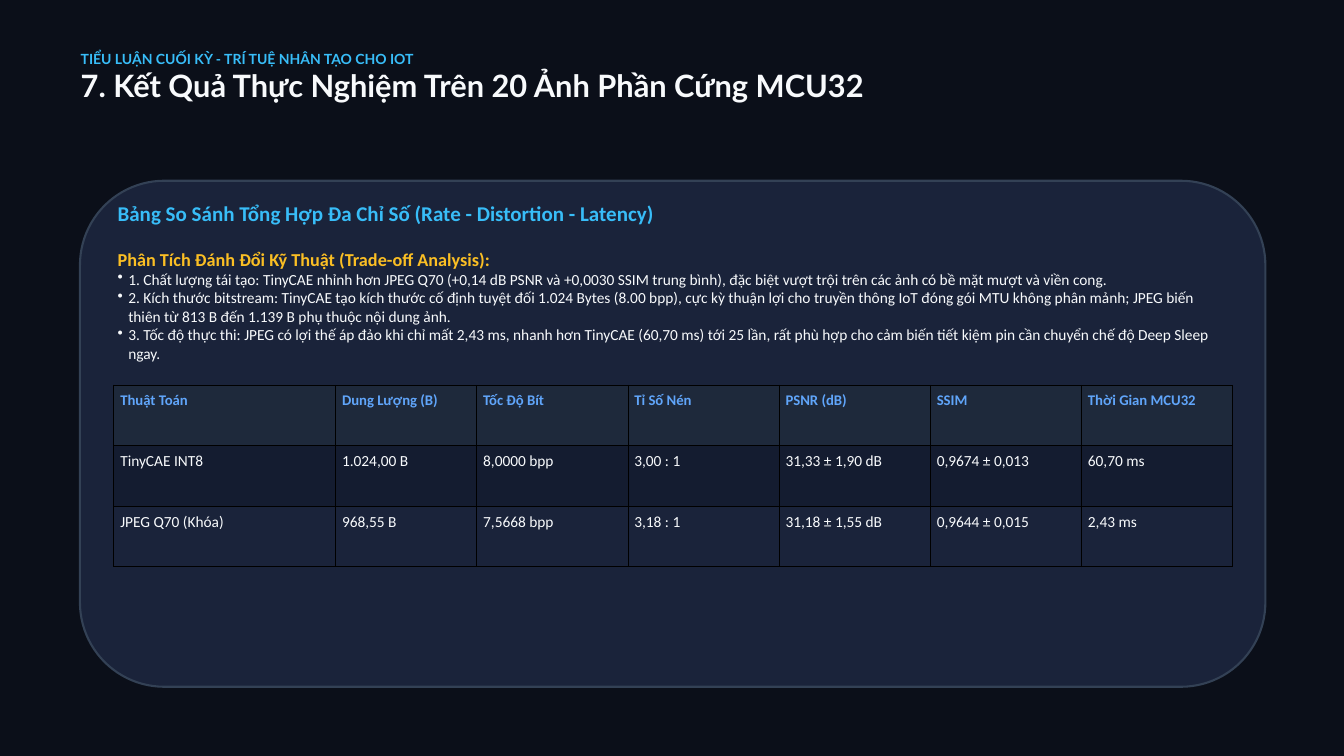
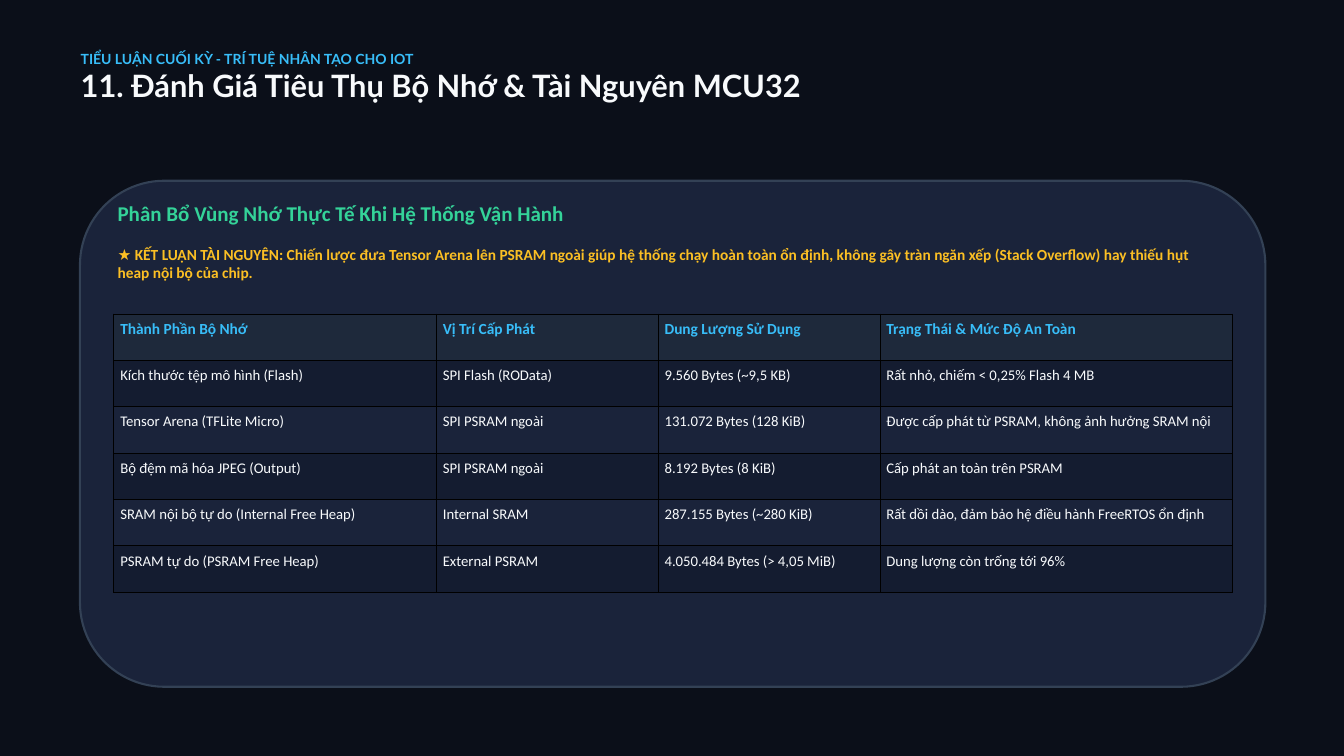
from lxml import etree
from pptx import Presentation
from pptx.dml.color import RGBColor
from pptx.enum import shapes
from pptx.oxml import ns
from pptx.util import Inches, Pt

NIGHT, PANEL, PANEL_EDGE = "0B0F19", "1A233A", "334155"
HEADER_ROW, DARK_ROW, GRID = "1E293B", "141C30", "000000"
SKY, BLUE, GREEN, AMBER, WHITE = "38BDF8", "60A5FA", "34D399", "FBBF24", "F8FAFC"
HEADING_FONT, BODY_FONT = "Lato", "Calibri"
COURSE = "TIỂU LUẬN CUỐI KỲ - TRÍ TUỆ NHÂN TẠO CHO IOT"
LINE_HEIGHT = 1.2
BULLET_INDENT = Inches(0.16)
CELL_MARGIN = Inches(0.1)

TRADE_OFFS = [
    "1. Chất lượng tái tạo: TinyCAE nhỉnh hơn JPEG Q70 (+0,14 dB PSNR và +0,0030 SSIM trung bình), "
    "đặc biệt vượt trội trên các ảnh có bề mặt mượt và viền cong.",
    "2. Kích thước bitstream: TinyCAE tạo kích thước cố định tuyệt đối 1.024 Bytes (8.00 bpp), "
    "cực kỳ thuận lợi cho truyền thông IoT đóng gói MTU không phân mảnh; "
    "JPEG biến thiên từ 813 B đến 1.139 B phụ thuộc nội dung ảnh.",
    "3. Tốc độ thực thi: JPEG có lợi thế áp đảo khi chỉ mất 2,43 ms, nhanh hơn TinyCAE (60,70 ms) "
    "tới 25 lần, rất phù hợp cho cảm biến tiết kiệm pin cần chuyển chế độ Deep Sleep ngay.",
]
CONCLUSION = (
    "★ KẾT LUẬN TÀI NGUYÊN: Chiến lược đưa Tensor Arena lên PSRAM ngoài giúp hệ thống chạy "
    "hoàn toàn ổn định, không gây tràn ngăn xếp (Stack Overflow) hay thiếu hụt heap nội bộ của chip."
)
CODEC_ROWS = [
    ["Thuật Toán", "Dung Lượng (B)", "Tốc Độ Bít", "Tỉ Số Nén", "PSNR (dB)", "SSIM", "Thời Gian MCU32"],
    ["TinyCAE INT8", "1.024,00 B", "8,0000 bpp", "3,00 : 1", "31,33 ± 1,90 dB", "0,9674 ± 0,013", "60,70 ms"],
    ["JPEG Q70 (Khóa)", "968,55 B", "7,5668 bpp", "3,18 : 1", "31,18 ± 1,55 dB", "0,9644 ± 0,015", "2,43 ms"],
]
MEMORY_ROWS = [
    ["Thành Phần Bộ Nhớ", "Vị Trí Cấp Phát", "Dung Lượng Sử Dụng", "Trạng Thái & Mức Độ An Toàn"],
    ["Kích thước tệp mô hình (Flash)", "SPI Flash (ROData)", "9.560 Bytes (~9,5 KB)",
     "Rất nhỏ, chiếm < 0,25% Flash 4 MB"],
    ["Tensor Arena (TFLite Micro)", "SPI PSRAM ngoài", "131.072 Bytes (128 KiB)",
     "Được cấp phát từ PSRAM, không ảnh hưởng SRAM nội"],
    ["Bộ đệm mã hóa JPEG (Output)", "SPI PSRAM ngoài", "8.192 Bytes (8 KiB)",
     "Cấp phát an toàn trên PSRAM"],
    ["SRAM nội bộ tự do (Internal Free Heap)", "Internal SRAM", "287.155 Bytes (~280 KiB)",
     "Rất dồi dào, đảm bảo hệ điều hành FreeRTOS ổn định"],
    ["PSRAM tự do (PSRAM Free Heap)", "External PSRAM", "4.050.484 Bytes (> 4,05 MiB)",
     "Dung lượng còn trống tới 96%"],
]


def rgb(hex_code):
    return RGBColor.from_string(hex_code)


def paint(fill, color):
    fill.solid()
    fill.fore_color.rgb = rgb(color)


def style(size, color, bold=True, name=BODY_FONT):
    return {"size": Pt(size), "bold": bold, "name": name, "color": color}


def write(paragraph, content, look, gap=False, bullet=False):
    """Fill a paragraph; gap leaves one line of its own height above it."""
    line = Pt(round(look["size"].pt * LINE_HEIGHT, 2))
    paragraph.line_spacing = line
    paragraph.space_before = line if gap else Pt(0)
    if bullet:
        props = paragraph._p.get_or_add_pPr()
        props.set("marL", str(BULLET_INDENT))
        props.set("indent", str(-BULLET_INDENT))
        etree.SubElement(props, ns.qn("a:buChar"), char="•")
    run = paragraph.add_run()
    run.text = content
    for key, value in look.items():
        if key == "color":
            run.font.color.rgb = rgb(value)
        else:
            setattr(run.font, key, value)


def add_text(slide, left, top, width, height, lines):
    """Each line is the content, its style and any options of write()."""
    frame = slide.shapes.add_textbox(*map(Inches, (left, top, width, height))).text_frame
    frame.word_wrap = True
    for side in ("left", "top", "right", "bottom"):
        setattr(frame, f"margin_{side}", 0)
    for index, (content, look, options) in enumerate(lines):
        paragraph = frame.add_paragraph() if index else frame.paragraphs[0]
        write(paragraph, content, look, **options)


def add_panel(slide):
    panel = slide.shapes.add_shape(shapes.MSO_SHAPE.ROUNDED_RECTANGLE,
                                   *map(Inches, (1.19, 2.69, 17.64, 7.53)))
    panel.shadow.inherit = False
    paint(panel.fill, PANEL)
    panel.line.color.rgb = rgb(PANEL_EDGE)
    panel.line.width = Pt(2.25)


def add_borders(cell):
    props = cell._tc.get_or_add_tcPr()
    for side in ("lnL", "lnR", "lnT", "lnB"):
        border = etree.SubElement(props, ns.qn(f"a:{side}"), w=str(Pt(0.37)))
        solid = etree.SubElement(border, ns.qn("a:solidFill"))
        etree.SubElement(solid, ns.qn("a:srgbClr"), val=GRID)


def add_grid(slide, top, widths, row_height, rows, header_look, body_look):
    grid = slide.shapes.add_table(len(rows), len(widths), Inches(1.69), Inches(top),
                                  Inches(sum(widths)), Inches(row_height * len(rows))).table
    for column, width in zip(grid.columns, widths):
        column.width = Inches(width)
    for row_index, row in enumerate(rows):
        grid.rows[row_index].height = Inches(row_height)
        band = (PANEL, DARK_ROW)[row_index % 2] if row_index else HEADER_ROW
        for column_index, content in enumerate(row):
            cell = grid.cell(row_index, column_index)
            for side in ("left", "top", "right", "bottom"):
                setattr(cell, f"margin_{side}", CELL_MARGIN)
            add_borders(cell)
            paint(cell.fill, band)
            write(cell.text_frame.paragraphs[0], content, body_look if row_index else header_look)


def add_slide(deck, title, panel_lines):
    slide = deck.slides.add_slide(deck.slide_layouts[6])
    paint(slide.background.fill, NIGHT)
    add_text(slide, 1.2, 0.75, 17.61, 1.65, [
        (COURSE, style(15, SKY, name=HEADING_FONT), {}),
        (title, style(33, WHITE, name=HEADING_FONT), {}),
    ])
    add_panel(slide)
    add_text(slide, 1.75, 2.99, 16.46, 6.72, panel_lines)
    return slide


def main():
    deck = Presentation()
    deck.slide_width, deck.slide_height = Inches(20), Inches(11.25)

    body = style(16.5, WHITE, bold=False)
    results = add_slide(deck, "7. Kết Quả Thực Nghiệm Trên 20 Ảnh Phần Cứng MCU32", [
        ("Bảng So Sánh Tổng Hợp Đa Chỉ Số (Rate - Distortion - Latency)", style(22.5, SKY), {}),
        ("Phân Tích Đánh Đổi Kỹ Thuật (Trade-off Analysis):", style(19.5, AMBER), {"gap": True}),
        *((point, body, {"bullet": True}) for point in TRADE_OFFS),
    ])
    add_grid(results, 5.73, [3.3, 2.1] + [2.25] * 5, 0.9, CODEC_ROWS, style(15.75, BLUE), body)

    memory = add_slide(deck, "11. Đánh Giá Tiêu Thụ Bộ Nhớ & Tài Nguyên MCU32", [
        ("Phân Bổ Vùng Nhớ Thực Tế Khi Hệ Thống Vận Hành", style(22.5, GREEN), {}),
        (CONCLUSION, style(16.5, AMBER), {"gap": True}),
    ])
    add_grid(memory, 4.67, [4.8, 3.3, 3.3, 5.25], 0.69, MEMORY_ROWS,
             style(16.5, SKY), style(15.75, WHITE, bold=False))

    deck.save("out.pptx")


if __name__ == "__main__":
    main()
